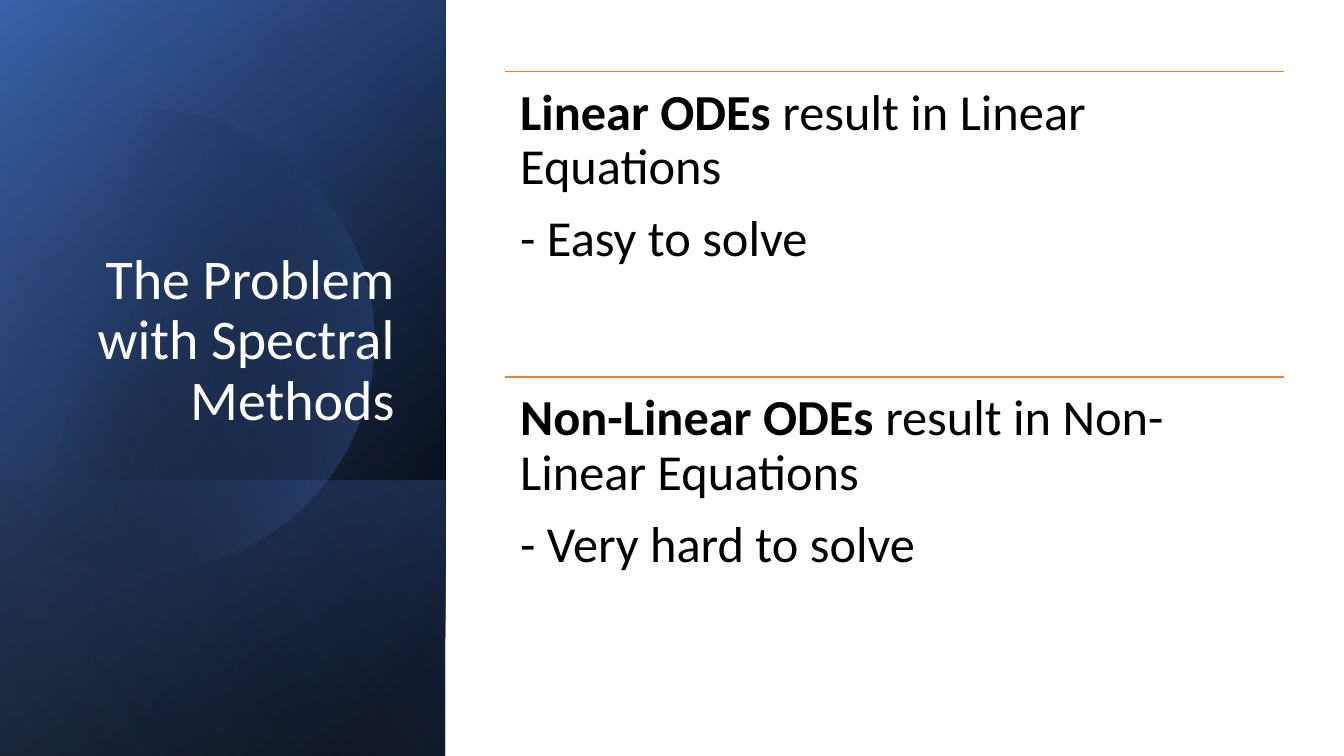
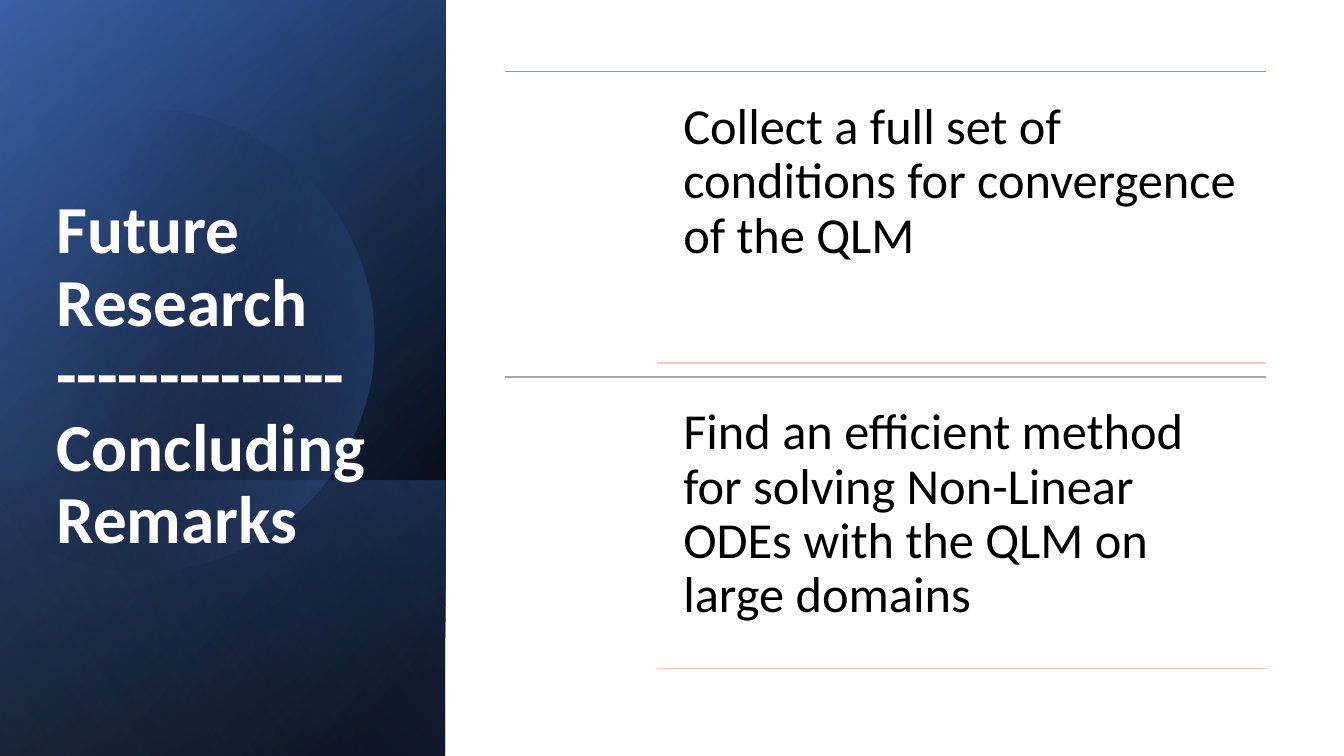
import math

import pptx
import pptx.dml.color
import pptx.enum.shapes
import pptx.enum.text
import pptx.oxml
import pptx.oxml.ns
import pptx.util
from lxml import etree

WIDE = pptx.util.Inches(13.33)
HIGH = pptx.util.Inches(7.5)
FONT = "Calibri"
WHITE, BLACK = "FFFFFF", "000000"
BLUE, NAVY, PALE = "4472C4", "2F5597", "8FAADC"
ORANGE, GRAY, PINK = "ED7D31", "A5A5A5", "F6CCBE"
ALIGN = pptx.enum.text.PP_ALIGN
ANCHOR = pptx.enum.text.MSO_ANCHOR


def rgb(code):
    return pptx.dml.color.RGBColor.from_string(code)


def area(left, top, wide, high):
    """Turn percentages of the slide into a box of lengths."""
    return (round(left * WIDE / 100), round(top * HIGH / 100),
            round(wide * WIDE / 100), round(high * HIGH / 100))


def part(box, left, top, wide, high):
    """Cut a box out of another one, by shares of its size."""
    x, y, w, h = box
    return (round(x + left * w), round(y + top * h),
            round(wide * w), round(high * h))


def fade(shape, angle, stops):
    """Fill with two stops of (position %, colour, opacity %)."""
    shape.shadow.inherit = False
    shape.line.fill.background()
    fill = shape.fill
    fill.gradient()
    fill.gradient_angle = 360 - angle
    for stop, (place, color, _) in zip(fill.gradient_stops, stops):
        stop.position = place / 100
        stop.color.rgb = rgb(color)
    tones = shape._element.spPr.iter(pptx.oxml.ns.qn("a:srgbClr"))
    for tone, (_, _, show) in zip(tones, stops):
        if show < 100:
            alpha = etree.SubElement(tone, pptx.oxml.ns.qn("a:alpha"))
            alpha.set("val", str(show * 1000))


def sheet(slide, box, angle, stops):
    """Cover the box with a mirrored rectangle on its side."""
    x, y, w, h = box
    shape = slide.shapes.add_shape(
        pptx.enum.shapes.MSO_SHAPE.RECTANGLE,
        x + (w - h) // 2, y + (h - w) // 2, h, w)
    shape.rotation = 90
    shape._element.spPr.xfrm.set("flipH", "1")
    fade(shape, angle, stops)


def disc(slide, box, angle, stops):
    """Draw a circle cut off by the left side of the box."""
    x, y, w, h = box
    mid, row, size = x + 0.32 * w, y + 0.45 * h, 0.52 * w
    cut = math.acos((x - mid) / size)
    count = 120
    turns = [cut * (2 * i / count - 1) for i in range(count + 1)]
    dots = [(round(mid + size * math.cos(t)), round(row + size * math.sin(t)))
            for t in turns]
    path = slide.shapes.build_freeform(*dots[0])
    path.add_line_segments(dots[1:], close=True)
    fade(path.convert_to_shape(), angle, stops)


def panel(slide, box):
    sheet(slide, box, 50, [(8, BLACK, 100), (100, NAVY, 100)])
    sheet(slide, box, 30, [(0, BLACK, 0), (99, BLUE, 46)])
    sheet(slide, part(box, 0, 0.635, 1, 0.365), 130,
          [(2, BLUE, 29), (100, BLACK, 30)])
    disc(slide, box, 14, [(29, BLACK, 0), (100, BLUE, 43)])
    sheet(slide, box, 120, [(0, BLACK, 0), (99, PALE, 11)])


def write(slide, box, paras, size, color, align=ALIGN.LEFT):
    """Add a text box; each paragraph is a list of (text, bold) runs."""
    frame = slide.shapes.add_textbox(*box).text_frame
    frame.word_wrap = True
    for i, runs in enumerate(paras):
        para = frame.paragraphs[0] if i == 0 else frame.add_paragraph()
        para.alignment = align
        para.line_spacing = 0.9
        for text, bold in runs:
            # A vertical tab in paragraph text becomes a line break.
            para.text = text if not para.runs else para.text
            run = para.runs[-1]
            run.font.bold = bold
        if len(runs) > 1:
            para.text = runs[0][0]
            for text, _ in runs[1:]:
                para.add_run().text = text
            for run, (_, bold) in zip(para.runs, runs):
                run.font.bold = bold
        for run in para.runs:
            run.font.name = FONT
            run.font.size = pptx.util.Pt(size)
            run.font.color.rgb = rgb(color)
            run.font.bold = runs[0][1] if len(runs) == 1 else run.font.bold
    return frame


def title(slide, box, text, size, bold=False, align=ALIGN.LEFT):
    frame = write(slide, box, [[(text, bold)]], size, WHITE, align)
    frame.vertical_anchor = ANCHOR.BOTTOM


def body(slide, box, paras):
    size = 36
    frame = write(slide, box, paras, size, BLACK)
    inset = pptx.util.Inches(0.15)
    frame.margin_left = frame.margin_right = inset
    frame.margin_top = frame.margin_bottom = inset
    for para in frame.paragraphs:
        para.space_after = pptx.util.Pt(0.35 * size)


def rule(slide, box, color):
    """Draw a line along the top of the box."""
    x, y, w, _ = box
    line = slide.shapes.add_connector(
        pptx.enum.shapes.MSO_CONNECTOR.STRAIGHT, x, y, x + w, y)
    line.line.color.rgb = rgb(color)
    line.line.width = pptx.util.Pt(1)
    etree.SubElement(line._element.spPr, pptx.oxml.ns.qn("a:effectLst"))


def halves(box):
    return [part(box, 0, i / 2, 1, 1 / 2) for i in range(2)]


def start(deck):
    slide = deck.slides.add_slide(deck.slide_layouts[6])
    panel(slide, area(0, 0, 33.15, 100))
    return slide


def problem(deck):
    slide = start(deck)
    title(slide, area(3.83, 8.53, 26.26, 49.33),
          "The Problem with Spectral Methods", 40, align=ALIGN.RIGHT)
    cases = [
        ("Linear ODEs ", "result in Linear Equations", "- Easy to solve"),
        ("Non-Linear ODEs ", "result in Non-Linear Equations",
         "- Very hard to solve"),
    ]
    rows = halves(area(37.58, 9.47, 57.99, 80.8))
    for row, (lead, rest, note) in zip(rows, cases):
        rule(slide, row, ORANGE)
        body(slide, row, [[(lead, True), (rest, False)], [(note, False)]])


def future(deck):
    slide = start(deck)
    title(slide, area(3.45, 25.2, 26.26, 49.33),
          "Future Research\v--------------\vConcluding Remarks", 48, True)
    goals = [
        (ORANGE, "Collect a full set of conditions for convergence of the QLM"),
        (GRAY, "Find an efficient method for solving Non-Linear ODEs "
               "with the QLM on large domains"),
    ]
    rows = halves(area(37.58, 9.47, 56.64, 80.8))
    for row, (color, goal) in zip(rows, goals):
        rule(slide, row, color)
        body(slide, part(row, 3 / 14, 1 / 22, 11 / 14, 20 / 22),
             [[(goal, False)]])
        rule(slide, part(row, 0.2, 21 / 22, 0.8, 1 / 22), PINK)


def main():
    deck = pptx.Presentation()
    deck.slide_width, deck.slide_height = WIDE, HIGH
    problem(deck)
    future(deck)
    deck.save("out.pptx")


if __name__ == "__main__":
    main()
